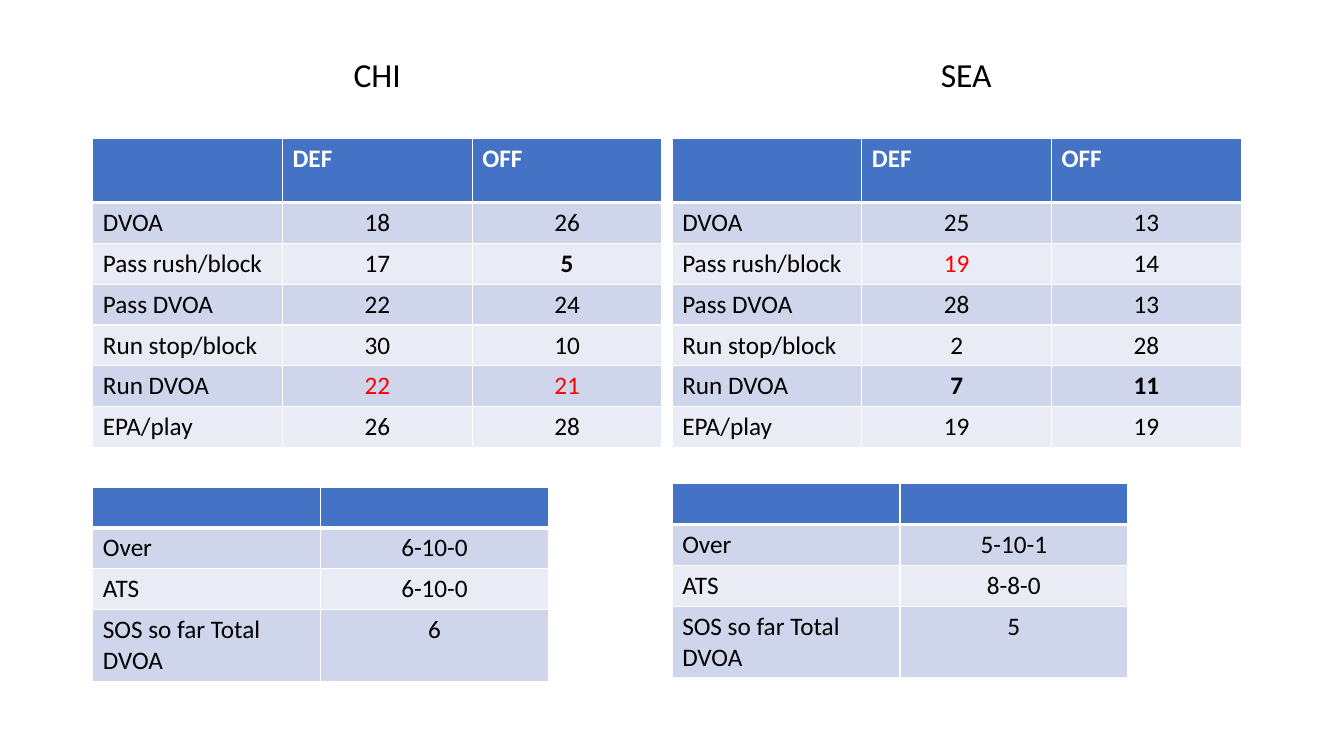
from dataclasses import dataclass

from lxml.etree import SubElement
from pptx import Presentation
from pptx.dml.color import RGBColor
from pptx.enum.text import MSO_ANCHOR, PP_ALIGN
from pptx.oxml.ns import qn
from pptx.util import Cm, Pt

BLACK = RGBColor(0x00, 0x00, 0x00)
WHITE = RGBColor(0xFF, 0xFF, 0xFF)
RED = RGBColor(0xFF, 0x00, 0x00)
HEADER = RGBColor(0x44, 0x72, 0xC4)
BANDS = (RGBColor(0xCF, 0xD5, 0xEA), RGBColor(0xE9, 0xEB, 0xF5))
FONT = "Calibri"

RANK_LABELS = ("DVOA", "Pass rush/block", "Pass DVOA", "Run stop/block", "Run DVOA", "EPA/play")
RECORD_LABELS = ("Over", "ATS", "SOS so far Total DVOA")
RANK_HEIGHTS = (1.6,) + (1.03,) * 6
RECORD_HEIGHTS = (1.03, 1.03, 1.03, 1.78)


@dataclass(frozen=True)
class Stat:
    text: str
    color: RGBColor = BLACK
    bold: bool = False


@dataclass(frozen=True)
class Team:
    name: str
    placeholder: int
    name_left: float
    name_width: float
    left: float
    record_top: float
    defense: tuple[Stat, ...]
    offense: tuple[Stat, ...]
    record: tuple[Stat, ...]


def stats(*texts: str, red: str = "", bold: str = "") -> tuple[Stat, ...]:
    return tuple(Stat(t, RED if t == red and i in RED_ROWS else BLACK, t == bold)
                 for i, t in enumerate(texts))


RED_ROWS = (1, 4)

TEAMS = (
    Team("CHI", 1, 2.34, 14.33, 2.34, 12.27,
         stats("18", "17", "22", "30", "22", "26", red="22"),
         stats("26", "5", "24", "10", "21", "28", red="21", bold="5"),
         stats("6-10-0", "6-10-0", "6")),
    Team("SEA", 3, 17.15, 14.4, 16.94, 12.19,
         stats("25", "19", "28", "2", "7", "19", red="19", bold="7"),
         stats("13", "14", "13", "28", "11", "19", bold="11"),
         stats("5-10-1", "8-8-0", "5")),
)


def set_borders(cell, bottom: float) -> None:
    tc_pr = cell._tc.get_or_add_tcPr()
    for i, (side, width) in enumerate((("L", 1), ("R", 1), ("T", 1), ("B", bottom))):
        ln = SubElement(tc_pr, qn(f"a:ln{side}"), w=str(Pt(width)))
        fill = SubElement(ln, qn("a:solidFill"))
        SubElement(fill, qn("a:srgbClr"), val=str(WHITE))
        tc_pr.insert(i, ln)


def fill_cell(cell, stat: Stat, fill: RGBColor, align: PP_ALIGN) -> None:
    cell.fill.solid()
    cell.fill.fore_color.rgb = fill
    p = cell.text_frame.paragraphs[0]
    p.text = stat.text
    p.alignment = align
    p.font.size = Pt(18)
    for r in p.runs:
        r.font.name = FONT
        r.font.size = Pt(18)
        r.font.bold = stat.bold
        r.font.color.rgb = stat.color


def add_stat_table(slide, left: float, top: float, col_width: float,
                   heights: tuple[float, ...], headers: tuple[str, ...],
                   labels: tuple[str, ...], *columns: tuple[Stat, ...]) -> None:
    rows = [[Stat(h, WHITE, True) for h in headers]]
    rows += [[Stat(label), *values] for label, *values in zip(labels, *columns)]
    table = slide.shapes.add_table(len(rows), len(headers), Cm(left), Cm(top),
                                   Cm(col_width * len(headers)), Cm(sum(heights))).table
    for col in table.columns:
        col.width = Cm(col_width)
    for i, row in enumerate(rows):
        table.rows[i].height = Cm(heights[i])
        for j, stat in enumerate(row):
            cell = table.cell(i, j)
            fill = BANDS[(i - 1) % 2] if i else HEADER
            align = PP_ALIGN.CENTER if i and j else PP_ALIGN.LEFT
            fill_cell(cell, stat, fill, align)
            set_borders(cell, 1 if i else 3)


def add_team_name(slide, team: Team) -> None:
    sp = slide.placeholders[team.placeholder]
    sp.left, sp.top = Cm(team.name_left), Cm(0.23)
    sp.width, sp.height = Cm(team.name_width), Cm(2.29)
    tf = sp.text_frame
    tf.text = team.name
    tf.vertical_anchor = MSO_ANCHOR.BOTTOM
    p = tf.paragraphs[0]
    p.alignment = PP_ALIGN.CENTER
    p.line_spacing = 0.9
    p.space_before = Pt(10)
    font = p.runs[0].font
    font.name, font.size, font.bold = FONT, Pt(24), False
    font.color.rgb = BLACK


def main() -> None:
    prs = Presentation()
    prs.slide_width, prs.slide_height = Cm(33.87), Cm(19.05)
    slide = prs.slides.add_slide(prs.slide_layouts.get_by_name("Comparison"))
    for team in TEAMS:
        add_team_name(slide, team)
        add_stat_table(slide, team.left, 3.5, 4.78, RANK_HEIGHTS, ("", "DEF", "OFF"),
                       RANK_LABELS, team.defense, team.offense)
        add_stat_table(slide, team.left, team.record_top, 5.74, RECORD_HEIGHTS, ("", ""),
                       RECORD_LABELS, team.record)
    for sp in list(slide.placeholders):
        if not sp.has_text_frame or not sp.text_frame.text:
            sp.element.getparent().remove(sp.element)
    prs.save("out.pptx")


if __name__ == "__main__":
    main()
